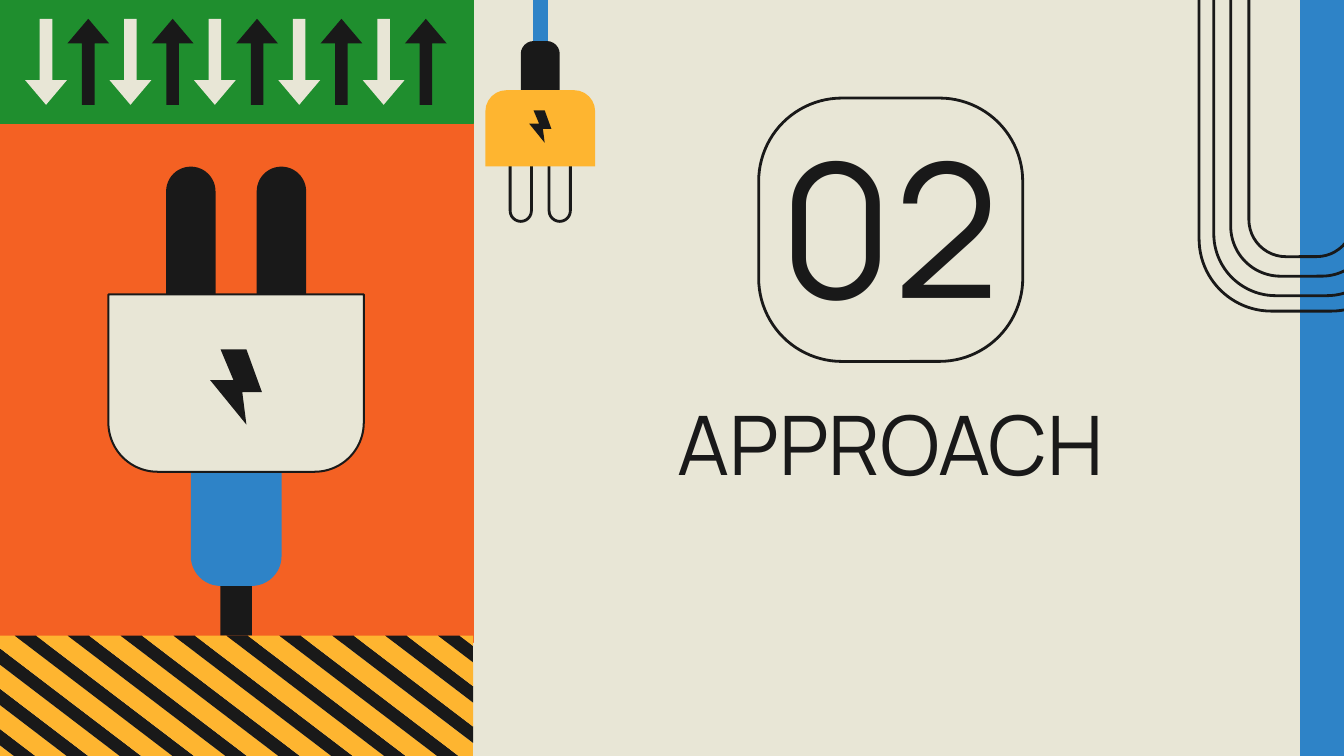
from pptx import Presentation
from pptx.dml.color import RGBColor
from pptx.enum.shapes import MSO_SHAPE
from pptx.enum.text import MSO_ANCHOR, MSO_AUTO_SIZE, PP_ALIGN
from pptx.util import Emu, Inches, Pt

RECTANGLE = MSO_SHAPE.RECTANGLE
ROUNDED = MSO_SHAPE.ROUNDED_RECTANGLE
ROUND_TWO = MSO_SHAPE.ROUND_2_SAME_RECTANGLE
UP_ARROW, DOWN_ARROW = MSO_SHAPE.UP_ARROW, MSO_SHAPE.DOWN_ARROW
TOP, MIDDLE = MSO_ANCHOR.TOP, MSO_ANCHOR.MIDDLE

CREAM = RGBColor(0xE8, 0xE6, 0xD6)
BLACK = RGBColor(0x19, 0x19, 0x19)
BLUE = RGBColor(0x2E, 0x83, 0xC7)
ORANGE = RGBColor(0xF4, 0x61, 0x23)
GREEN = RGBColor(0x1F, 0x8E, 0x2E)
YELLOW = RGBColor(0xFE, 0xB5, 0x30)
FONT = "Manrope"

# Square grid: 100 columns across, 56.25 rows down
WIDTH = Inches(10)
HEIGHT = WIDTH * 9 // 16
CELL = WIDTH // 100
ROWS = 56.25
PANEL_LEFT, PANEL_RIGHT = -0.1, 35.2

# Lightning bolt outline as shares of its box
BOLT = [(0.7, 1), (0, 0.41), (0.45, 0.41), (0.2, 0), (0.7, 0), (1, 0.57), (0.62, 0.57)]


def cells(count):
    return Emu(round(count * CELL))


def paint(shape, fill=None, line=None, weight=0.75):
    shape.shadow.inherit = False
    if fill is None:
        shape.fill.background()
    else:
        shape.fill.solid()
        shape.fill.fore_color.rgb = fill
    if line is None:
        shape.line.fill.background()
    else:
        shape.line.color.rgb = line
        shape.line.width = Pt(weight)


def add_preset(page, kind, box, adjust=(), **style):
    shape = page.shapes.add_shape(kind, *map(cells, box))
    for index, value in enumerate(adjust):
        shape.adjustments[index] = value
    paint(shape, **style)


def add_polygon(page, points, fill):
    corners = [(cells(x), cells(y)) for x, y in points]
    builder = page.shapes.build_freeform(*corners[0])
    builder.add_line_segments(corners[1:], close=True)
    paint(builder.convert_to_shape(), fill)


def fill_placeholder(box, text, place, size, anchor, top_inset):
    box.left, box.top, box.width, box.height = map(cells, place)
    frame = box.text_frame
    frame.word_wrap = True
    frame.auto_size = MSO_AUTO_SIZE.NONE
    frame.vertical_anchor = anchor
    frame.margin_left = frame.margin_right = frame.margin_bottom = cells(1)
    frame.margin_top = cells(top_inset)
    para = frame.paragraphs[0]
    para.text = text
    para.alignment = PP_ALIGN.CENTER
    para.line_spacing = 1.0
    para.space_before = Pt(0)
    para.font.name = FONT
    para.font.size = Pt(size)
    para.font.bold = False
    para.font.color.rgb = BLACK


def add_side_strip(page):
    add_preset(page, RECTANGLE, (96.8, 0, 3.2, ROWS), fill=BLUE, line=BLUE)
    # Nested loops around one centre
    center_x, center_y = 96.82, -2.9
    for width, height in ((15.2, 52.1), (13, 49.8), (10.5, 46.9), (7.8, 44)):
        box = (center_x - width / 2, center_y - height / 2, width, height)
        add_preset(page, ROUNDED, box, [0.354], line=BLACK, weight=1.5)


def clip(points, bound, side):
    """Keep the part of a polygon where side * (x - bound) is not negative."""
    kept = []
    for (x1, y1), (x2, y2) in zip(points, points[1:] + points[:1]):
        inside = side * (x1 - bound) >= 0
        if inside:
            kept.append((x1, y1))
        if inside != (side * (x2 - bound) >= 0):
            kept.append((bound, y1 + (bound - x1) / (x2 - x1) * (y2 - y1)))
    return kept


def add_hazard_stripes(page):
    top, run, step = 47.3, 11.74, 31.5 / 8
    for number in range(-4, 9):
        for offset, width, color in ((1.1, 1.6, BLACK), (2.7, step - 1.6, YELLOW)):
            left = offset + number * step
            right = left + width
            band = [(left, top), (right, top), (right + run, ROWS), (left + run, ROWS)]
            band = clip(clip(band, PANEL_LEFT, 1), PANEL_RIGHT, -1)
            if band:
                add_polygon(page, band, color)


def add_arrows(page):
    for number in range(10):
        kind, color = ((DOWN_ARROW, CREAM), (UP_ARROW, BLACK))[number % 2]
        box = (1.87 + number * 3.14, 1.4, 3.12, 6.4)
        add_preset(page, kind, box, [0.3, 0.59], fill=color)


def add_plug(page, center, scale, facing, cable, cable_style, prong_style, body_style):
    """Draw a plug; facing is 1 with the cable below and -1 with it above."""
    center_x, center_y = center

    def place(offset, start, width, length):
        y = center_y + facing * scale * (start + length / 2)
        return (center_x + scale * (offset - width / 2), y - scale * length / 2,
                scale * width, scale * length)

    grip_color = BLUE if facing == 1 else BLACK
    add_preset(page, RECTANGLE, place(0, *cable), **cable_style)
    add_preset(page, ROUNDED, place(0, 0, 6.75, 15.1), [0.33], fill=grip_color)
    for offset in (3.37, -3.37):
        add_preset(page, ROUNDED, place(offset, -16.1, 3.68, 17.3), [0.5], **prong_style)
    corners = [0, 0.277] if facing == 1 else [0.277, 0]
    add_preset(page, ROUND_TWO, place(0, -6.6, 19, 13.2), corners, **body_style)
    left, top, width, height = place(0, -2.5, 3.85, 5.6)
    add_polygon(page, [(left + x * width, top + y * height) for x, y in BOLT], BLACK)


def main():
    deck = Presentation()
    deck.slide_width, deck.slide_height = WIDTH, HEIGHT
    page = deck.slides.add_slide(deck.slide_layouts[2])
    page.background.fill.solid()
    page.background.fill.fore_color.rgb = CREAM

    # Section title and number
    title, number = page.placeholders
    fill_placeholder(title, "APPROACH", (44.9, 28.3, 42.8, 15.6), 44, TOP, 1)
    fill_placeholder(number, "02", (54.9, 11.1, 22.6, 12.1), 100, MIDDLE, 0)
    add_preset(page, ROUNDED, (56.45, 7.3, 19.65, 19.6), [0.316], line=BLACK, weight=1.5)

    add_side_strip(page)

    # Left panel
    panel_width = PANEL_RIGHT - PANEL_LEFT
    for top, height, color in ((8.5, 39.3, ORANGE), (0, 9.2, GREEN)):
        add_preset(page, RECTANGLE, (PANEL_LEFT, top, panel_width, height),
                   fill=color, line=color)
    add_plug(page, (17.57, 28.5), 1, 1, (10.1, 2.35, 8.7)[:1] + (2.35, 8.7),
             dict(fill=BLACK), dict(fill=BLACK),
             dict(fill=CREAM, line=BLACK, weight=1.09))
    add_hazard_stripes(page)
    add_arrows(page)

    # Hanging plug
    add_plug(page, (40.2, 9.55), 0.43, -1, (8.2, 2.35, 14),
             dict(fill=BLUE, line=BLUE), dict(line=BLACK, weight=1.5),
             dict(fill=YELLOW))

    deck.save("out.pptx")


if __name__ == "__main__":
    main()
